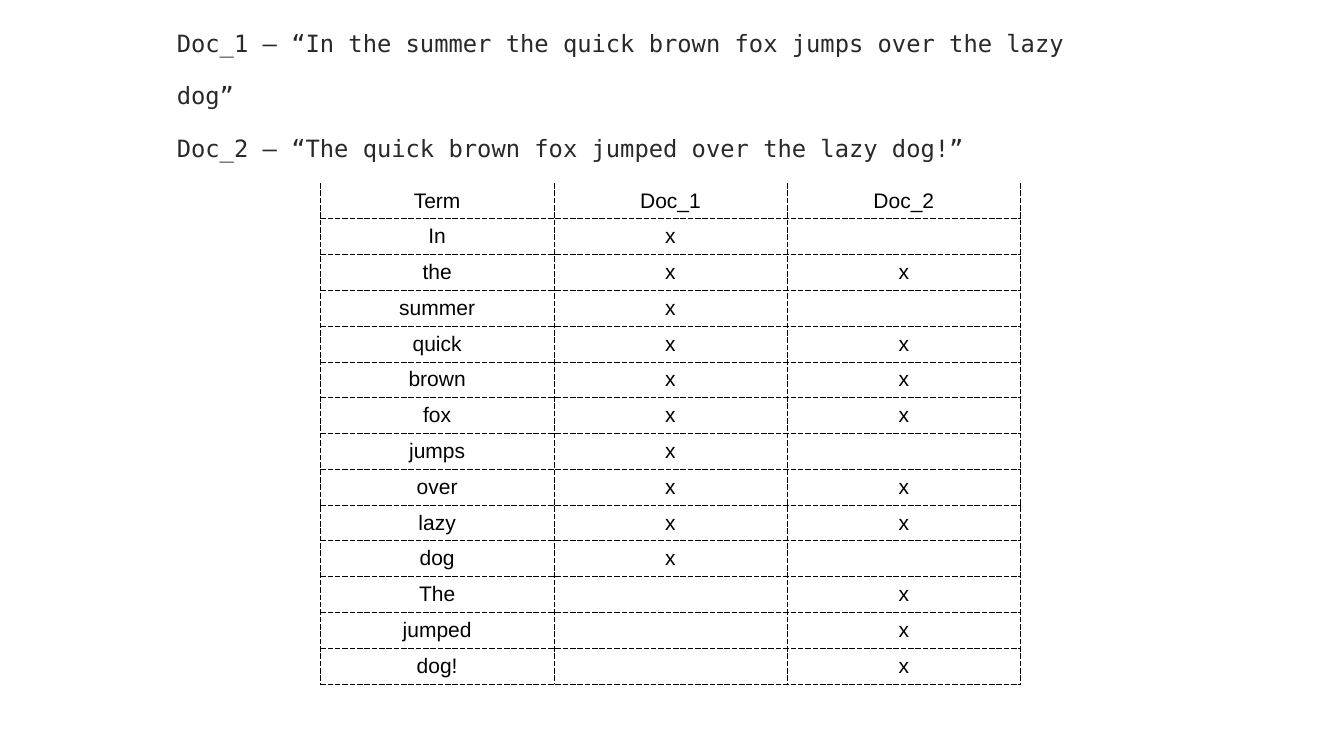
import pptx
import pptx.dml.color
import pptx.enum.text
import pptx.oxml
import pptx.oxml.ns
import pptx.util
from dataclasses import dataclass
from pptx.util import Inches


@dataclass(frozen=True)
class Theme:
    ink: str = "292929"
    black: str = "000000"
    mono: str = "DejaVu Sans Mono"
    sans: str = "Arial"
    quote: int = 34
    term: int = 30
    rule: int = 1


theme = Theme()
Anchor = pptx.enum.text.MSO_ANCHOR


def style(para, face, size, color):
    para.font.name = face
    para.font.size = pptx.util.Pt(size)
    para.font.color.rgb = pptx.dml.color.RGBColor.from_string(color)


def rule(cell, sides, hidden):
    """Draw dashed borders on the sides (L, R, T, B), except the hidden ones."""
    props = cell._tc.get_or_add_tcPr()
    for spot, side in enumerate(sides):
        if side in hidden:
            body = "<a:noFill/>"
        else:
            body = (f'<a:solidFill><a:srgbClr val="{theme.black}"/></a:solidFill>'
                    '<a:prstDash val="sysDash"/>')
        width = pptx.util.Pt(theme.rule)
        line = pptx.oxml.parse_xml(
            f'<a:ln{side} {pptx.oxml.ns.nsdecls("a")} w="{width}">{body}</a:ln{side}>')
        props.insert(spot, line)


deck = pptx.Presentation()
deck.slide_width, deck.slide_height = Inches(26.67), Inches(15)
slide = deck.slides.add_slide(deck.slide_layouts[6])

# The two documents
docs = [
    "Doc_1 — “In the summer the quick brown fox jumps over the lazy dog”",
    "Doc_2 — “The quick brown fox jumped over the lazy dog!”",
]
box = slide.shapes.add_textbox(Inches(3.43), Inches(0.57), Inches(19), Inches(2.17))
frame = box.text_frame
frame.word_wrap = True
frame.auto_size = pptx.enum.text.MSO_AUTO_SIZE.SHAPE_TO_FIT_TEXT
frame.vertical_anchor = Anchor.MIDDLE
frame.margin_left = frame.margin_right = Inches(0.08)
frame.margin_top = frame.margin_bottom = Inches(0.08)
frame.text = "\n".join(docs)
for para in frame.paragraphs:
    para.line_spacing = pptx.util.Pt(75)
    style(para, theme.mono, theme.quote, theme.ink)

# Which term occurs in which document
rows = [
    ("Term", "Doc_1", "Doc_2"),
    ("In", "x", ""),
    ("the", "x", "x"),
    ("summer", "x", ""),
    ("quick", "x", "x"),
    ("brown", "x", "x"),
    ("fox", "x", "x"),
    ("jumps", "x", ""),
    ("over", "x", "x"),
    ("lazy", "x", "x"),
    ("dog", "x", ""),
    ("The", "", "x"),
    ("jumped", "", "x"),
    ("dog!", "", "x"),
]
table = slide.shapes.add_table(
    len(rows), 3, Inches(6.36), Inches(3.63),
    Inches(4.63 * 3), Inches(0.71 * len(rows))).table
table.first_row = table.horz_banding = False
for col in table.columns:
    col.width = Inches(4.63)
for i, row in enumerate(rows):
    table.rows[i].height = Inches(0.71)
    for j, text in enumerate(row):
        cell = table.cell(i, j)
        cell.fill.background()
        rule(cell, "LRTB", "T" if i == 0 else "")
        cell.vertical_anchor = Anchor.MIDDLE
        cell.margin_left = cell.margin_right = Inches(0.06)
        cell.margin_top = cell.margin_bottom = Inches(0.06)
        cell.text = text
        para = cell.text_frame.paragraphs[0]
        para.alignment = pptx.enum.text.PP_ALIGN.CENTER
        style(para, theme.sans, theme.term, theme.black)

deck.save("out.pptx")
